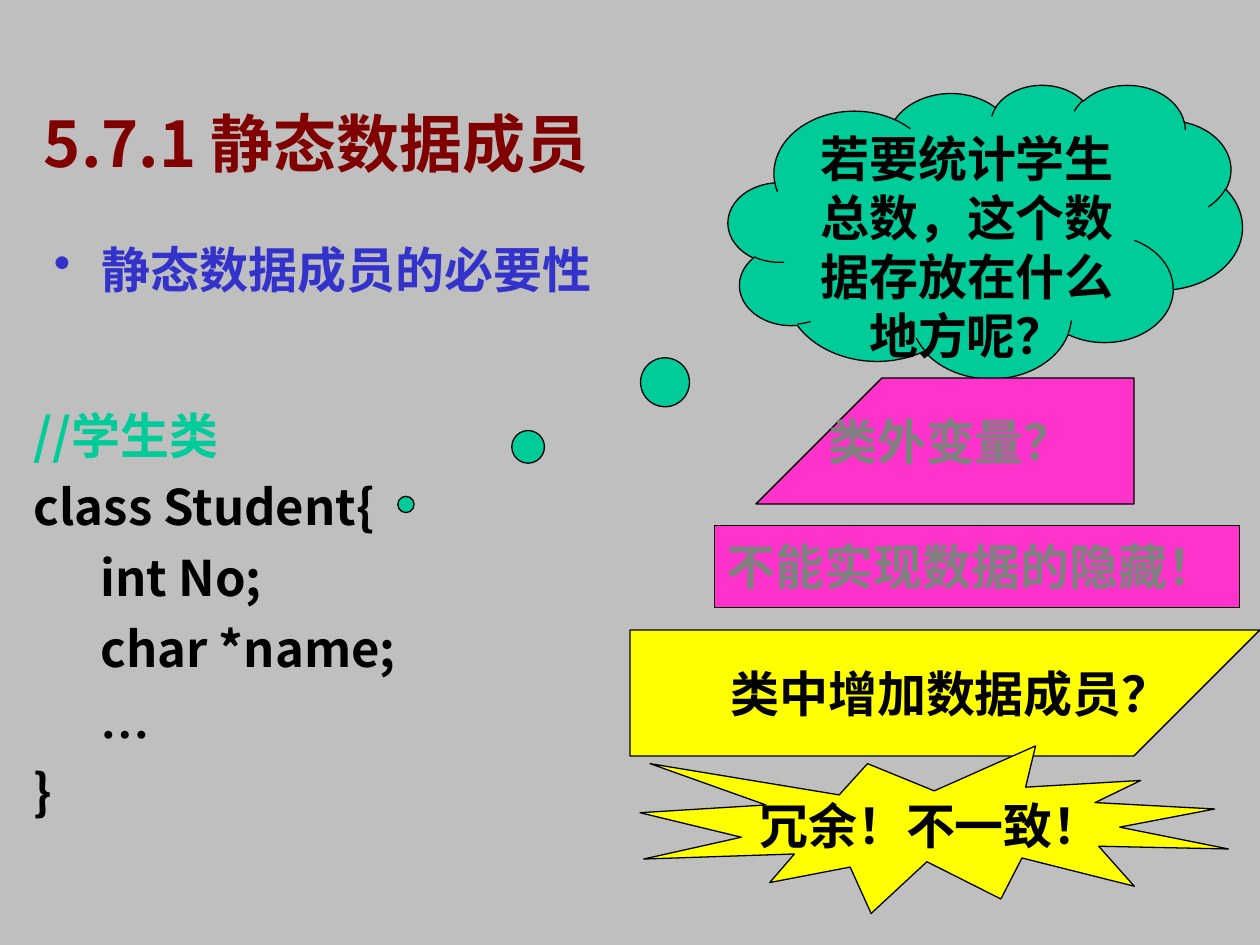
import pptx
import pptx.util
import pptx.dml.color
import pptx.enum.shapes
import pptx.enum.text
import pptx.oxml
from pptx.util import Inches

COLORS = {"back": "BFBFBF", "title": "800000", "point": "3333CC",
          "green": "00CC99", "pink": "FF33CC", "yellow": "FFFF00",
          "gray": "808080", "black": "000000"}
SANS, SERIF = "Noto Sans CJK SC", "Times New Roman"
KINDS = pptx.enum.shapes.MSO_SHAPE
ANCHOR = pptx.enum.text.MSO_ANCHOR
ALIGN = pptx.enum.text.PP_ALIGN

PINK_STAR = [(6.17, 3.59), (6.59, 3.74), (6.59, 3.95), (7.19, 3.95),
             (7.62, 4.1), (8.04, 3.95), (8.66, 3.95), (8.66, 3.74),
             (9.08, 3.59), (8.66, 3.44), (8.66, 3.23), (8.06, 3.23),
             (7.62, 3.08), (7.21, 3.23), (6.59, 3.23), (6.59, 3.44)]
GOLD_STAR = [(4.67, 5.43), (5.42, 5.56), (5.44, 5.74), (6.5, 5.74),
             (7.29, 5.87), (8.05, 5.74), (9.15, 5.74), (9.15, 5.57),
             (9.92, 5.43), (9.16, 5.31), (9.15, 5.13), (8.08, 5.13),
             (7.29, 5), (6.54, 5.12), (5.44, 5.13), (5.43, 5.3)]


def rgb(name):
    return pptx.dml.color.RGBColor.from_string(COLORS[name])


def write(para, runs, color, size=28, align=ALIGN.LEFT):
    """Fill a paragraph with (text, font) runs."""
    para.alignment = align
    font = para.font
    font.size, font.bold = pptx.util.Pt(size), True
    font.color.rgb = rgb(color)
    if len({name for _, name in runs}) == 1:
        font.name = runs[0][1]
    for text, name in runs:
        run = para.add_run()
        run.text = text
        if font.name is None:
            run.font.name = name


def set_frame(frame, side=0.1, edge=0.05, anchor=ANCHOR.TOP, wrap=True):
    frame.margin_left = frame.margin_right = Inches(side)
    frame.margin_top = frame.margin_bottom = Inches(edge)
    frame.vertical_anchor = anchor
    frame.word_wrap = wrap


def add_text(slide, box, **frame):
    area = slide.shapes.add_textbox(*map(Inches, box)).text_frame
    set_frame(area, **frame)
    return area


def paint(shape, fill):
    shape.shadow.inherit = False
    shape.fill.solid()
    shape.fill.fore_color.rgb = rgb(fill)
    shape.line.color.rgb = rgb("black")
    shape.line.width = pptx.util.Pt(0.75)


def add_shape(slide, kind, box, fill, **frame):
    shape = slide.shapes.add_shape(kind, *map(Inches, box))
    paint(shape, fill)
    set_frame(shape.text_frame, **frame)
    return shape


def add_star(slide, points, fill, text, color):
    pen = slide.shapes.build_freeform(*points[0], scale=Inches(1))
    pen.add_line_segments(points[1:], close=True)
    star = pen.convert_to_shape()
    paint(star, fill)
    set_frame(star.text_frame, 0.02, 0, ANCHOR.MIDDLE, False)
    write(star.text_frame.paragraphs[0], [(text, SANS)], color,
          align=ALIGN.CENTER)


def add_bullet(para, color):
    props = para._p.get_or_add_pPr()
    props.set("marL", str(Inches(0.38)))
    props.set("indent", str(-Inches(0.38)))
    space = 'xmlns:a="http://schemas.openxmlformats.org/drawingml/2006/main"'
    for xml in (f'<a:buClr {space}><a:srgbClr val="{COLORS[color]}"/></a:buClr>',
                f'<a:buChar {space} char="•"/>'):
        props.append(pptx.oxml.parse_xml(xml))


def add_code(slide):
    frame = add_text(slide, (0.17, 3.17, 4.08, 3.86))
    lines = [[("//学生类", SANS)], [("class Student{", SANS)],
             [("      int No;", SANS)], [("      char *name;", SANS)],
             [("      ", SANS), ("…", SERIF)], [("}", SANS)]]
    for i, runs in enumerate(lines):
        para = frame.add_paragraph() if i else frame.paragraphs[0]
        if i:
            para.space_before = pptx.util.Pt(7)
        write(para, runs, "black" if i else "green")


def main():
    deck = pptx.Presentation()
    deck.slide_width, deck.slide_height = Inches(10), Inches(7.5)
    slide = deck.slides.add_slide(deck.slide_layouts[6])
    slide.background.fill.solid()
    slide.background.fill.fore_color.rgb = rgb("back")

    # Title and main point
    title = add_text(slide, (0.25, 0.67, 5.83, 0.92), anchor=ANCHOR.MIDDLE)
    write(title.paragraphs[0], [("5.7.1 ", SANS), ("静态数据成员", SERIF)],
          "title", 36)
    point = add_text(slide, (0.33, 1.85, 8.75, 0.57)).paragraphs[0]
    add_bullet(point, "point")
    write(point, [("静态数据成员的必要性", SERIF)], "point")

    # Class listing
    add_code(slide)

    # Question in the cloud
    cloud = add_shape(slide, KINDS.CLOUD_CALLOUT, (5.78, 0.67, 4.08, 2.33),
                      "green", side=0, edge=0)
    cloud.adjustments[0], cloud.adjustments[1] = -1.127, 0.931
    write(cloud.text_frame.paragraphs[0],
          [("若要统计", SERIF), ("学生", SANS),
           ("总数，这个数据存放在什么地方呢？", SERIF)],
          "black", align=ALIGN.CENTER)

    # First answer and its flaw
    add_star(slide, PINK_STAR, "pink", " 类外变量？", "gray")
    flaw = add_shape(slide, KINDS.RECTANGLE, (5.67, 4.17, 4.17, 0.65),
                     "pink", edge=0.09)
    write(flaw.text_frame.paragraphs[0], [("不能实现数据的隐藏！", SANS)], "gray")

    # Second answer and its flaw
    add_star(slide, GOLD_STAR, "yellow", " 类中增加数据成员？", "black")
    burst = add_shape(slide, KINDS.EXPLOSION1, (5.08, 5.92, 4.67, 1.33),
                      "yellow", anchor=ANCHOR.MIDDLE, wrap=False)
    write(burst.text_frame.paragraphs[0], [("冗余！不一致！", SANS)], "black",
          align=ALIGN.CENTER)

    deck.save("out.pptx")


if __name__ == "__main__":
    main()
